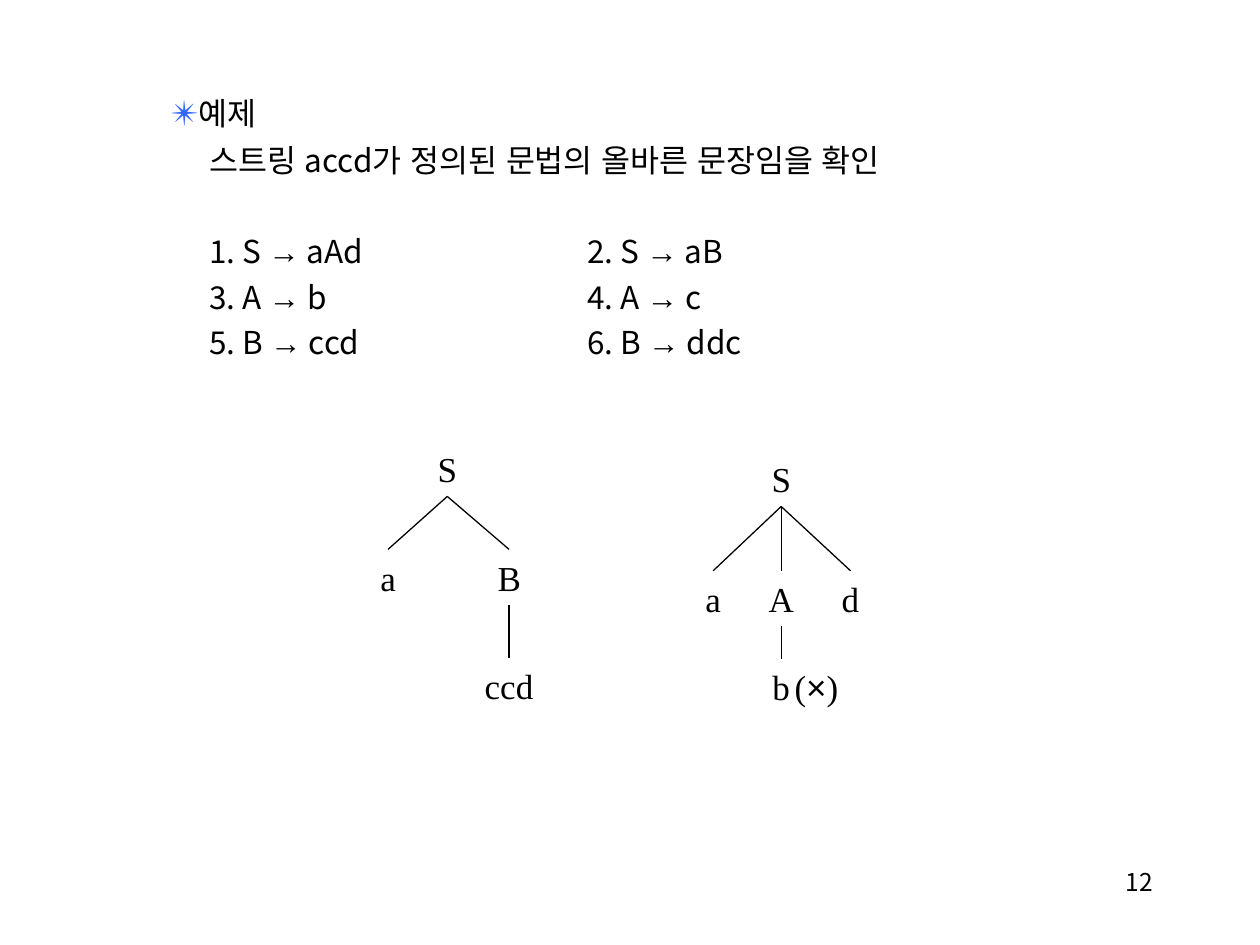
from lxml import etree
from pptx import Presentation
from pptx import util as u
from pptx.dml.color import RGBColor
from pptx.enum import shapes, text
from pptx.oxml import ns

WIDTH, HEIGHT = 10, 7.5
SANS, SERIF, ARIAL = "Noto Sans CJK KR", "Times New Roman", "Arial"
BLACK, BLUE = "000000", "3366FF"
NODE_HEIGHT = 0.44

HEADING = [("✴", 20, BLUE), ("예제", 18, BLACK)]
BODY_LINES = [
    "\t스트링 accd가 정의된 문법의 올바른 문장임을 확인",
    "",
    "\t1. S → aAd\t\t2. S → aB",
    "\t3. A → b\t\t\t4. A → c",
    "\t5. B → ccd\t\t6. B → ddc",
]
LEFT_TREE = {
    "nodes": {"S": (3.55, 3.5, 0.35), "a": (3.08, 4.36, 0.32),
              "B": (4.04, 4.36, 0.38), "ccd": (4.04, 5.22, 0.62)},
    "edges": ["S a", "S B", "B ccd"],
}
RIGHT_TREE = {
    "nodes": {"S": (6.2, 3.58, 0.35), "a": (5.66, 4.53, 0.32),
              "A": (6.2, 4.53, 0.4), "d": (6.75, 4.53, 0.34),
              "b": (6.2, 5.23, 0.34), "(×)": (6.48, 5.23, 0.6)},
    "edges": ["S a", "S A", "S d", "A b"],
}


def color(value):
    """Turn a hex string into a colour."""
    return RGBColor.from_string(value)


def apply(target, formats):
    """Set each attribute named in a dict of format values."""
    for name, value in formats.items():
        setattr(target, name, value)


def add_run(paragraph, content, size, font, fill=BLACK, east_asian=None):
    """Add a run with a Latin font and an East Asian font."""
    run = paragraph.add_run()
    run.text = content
    apply(run.font, {"size": u.Pt(size), "name": font})
    run.font.color.rgb = color(fill)
    etree.SubElement(run.font._element, ns.qn("a:ea"), typeface=east_asian or font)


def add_symbol_runs(paragraph, content, size, font, symbol, east_asian=None):
    """Add runs in which one symbol is set in Arial."""
    for index, part in enumerate(content.split(symbol)):
        if index:
            add_run(paragraph, symbol, size, ARIAL)
        if part:
            add_run(paragraph, part, size, font, east_asian=east_asian)


def format_body_paragraph(paragraph):
    """Give a body paragraph its indent, spacing and one-inch tabs."""
    apply(paragraph, {"level": 1, "space_before": u.Pt(4.5), "line_spacing": 1.0})
    paragraph.font.size = u.Pt(18)
    properties = paragraph._p.get_or_add_pPr()
    lengths = {"marL": 0.81, "indent": -0.31, "defTabSz": 1}
    for name, inches in lengths.items():
        properties.set(name, str(u.Inches(inches)))
    etree.SubElement(properties, ns.qn("a:buNone"))
    tabs = etree.SubElement(properties, ns.qn("a:tabLst"))
    for inch in range(8):
        etree.SubElement(tabs, ns.qn("a:tab"), pos=str(u.Inches(inch)), algn="l")
    properties.append(properties.find(ns.qn("a:defRPr")))


def fill_body(slide):
    """Place the body placeholder and write the grammar in it."""
    body = slide.placeholders[1]
    apply(body, {"left": u.Inches(0.75), "top": u.Inches(0.67),
                 "width": u.Inches(8.5), "height": u.Inches(2.33)})
    frame = body.text_frame
    apply(frame, {"auto_size": text.MSO_AUTO_SIZE.NONE, "word_wrap": True,
                  "vertical_anchor": text.MSO_ANCHOR.TOP})
    heading = frame.paragraphs[0]
    format_body_paragraph(heading)
    for content, size, fill in HEADING:
        add_run(heading, content, size, SANS, fill)
    for line in BODY_LINES:
        paragraph = frame.add_paragraph()
        format_body_paragraph(paragraph)
        add_symbol_runs(paragraph, line, 18, SANS, "→", ARIAL)


def add_node(slide, label, center, top, width):
    """Add a tree node centred on a column."""
    node = slide.shapes.add_textbox(u.Inches(center - width / 2), u.Inches(top),
                                    u.Inches(width), u.Inches(NODE_HEIGHT))
    apply(node.text_frame, {"word_wrap": False,
                            "auto_size": text.MSO_AUTO_SIZE.SHAPE_TO_FIT_TEXT,
                            "vertical_anchor": text.MSO_ANCHOR.MIDDLE})
    paragraph = node.text_frame.paragraphs[0]
    apply(paragraph, {"alignment": text.PP_ALIGN.CENTER, "space_before": u.Pt(5)})
    add_symbol_runs(paragraph, label, 20, SERIF, "×")
    return node


def add_edge(slide, parent, child):
    """Join the bottom of a parent to the top of its child."""
    edge = slide.shapes.add_connector(shapes.MSO_CONNECTOR.STRAIGHT, 0, 0, 0, 0)
    edge.begin_connect(parent, 2)
    edge.end_connect(child, 0)
    edge.line.width = u.Pt(0.75)
    edge.line.color.rgb = color(BLACK)
    etree.SubElement(edge._element.spPr, ns.qn("a:effectLst"))


def add_tree(slide, tree):
    """Draw a parse tree from its nodes and edges."""
    nodes = {label: add_node(slide, label, *place)
             for label, place in tree["nodes"].items()}
    for pair in tree["edges"]:
        parent, child = pair.split()
        add_edge(slide, nodes[parent], nodes[child])


def add_page_number(slide, number):
    """Write the page number at the lower right."""
    box = slide.shapes.add_textbox(u.Inches(7.17), u.Inches(6.83),
                                   u.Inches(2.08), u.Inches(0.5))
    box.text_frame.word_wrap = True
    paragraph = box.text_frame.paragraphs[0]
    paragraph.alignment = text.PP_ALIGN.RIGHT
    add_run(paragraph, number, 14, SANS)


def main():
    """Build and save the slide."""
    presentation = Presentation()
    apply(presentation, {"slide_width": u.Inches(WIDTH),
                         "slide_height": u.Inches(HEIGHT)})
    slide = presentation.slides.add_slide(presentation.slide_layouts[1])
    title = slide.shapes.title._element
    title.getparent().remove(title)
    fill_body(slide)
    for tree in (LEFT_TREE, RIGHT_TREE):
        add_tree(slide, tree)
    add_page_number(slide, "12")
    presentation.save("out.pptx")


if __name__ == "__main__":
    main()
